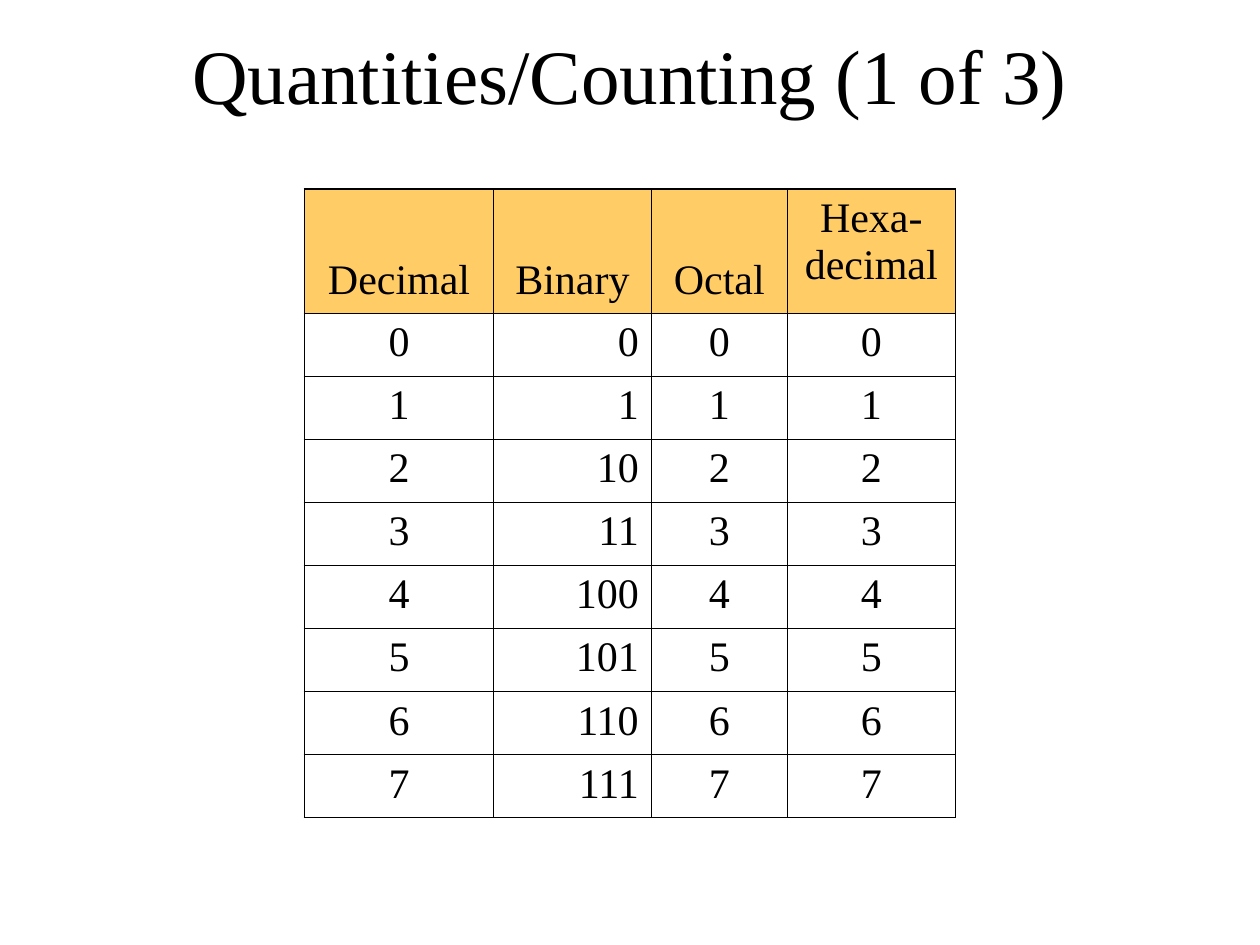
from dataclasses import dataclass

from pptx import Presentation
from pptx.dml.color import RGBColor
from pptx.enum.text import MSO_ANCHOR as Anchor, PP_ALIGN as Align
from pptx.oxml.ns import qn
from pptx.util import Cm, Pt
from lxml.etree import SubElement

TITLE = "Quantities/Counting (1 of 3)"
COLUMNS = [
    ("Decimal", 3.81, Align.CENTER),
    ("Binary", 3.18, Align.RIGHT),
    ("Octal", 2.74, Align.CENTER),
    ("Hexa-\vdecimal", 3.39, Align.CENTER),
]
COUNTS = [
    ("0", "0", "0", "0"),
    ("1", "1", "1", "1"),
    ("2", "10", "2", "2"),
    ("3", "11", "3", "3"),
    ("4", "100", "4", "4"),
    ("5", "101", "5", "5"),
    ("6", "110", "6", "6"),
    ("7", "111", "7", "7"),
]
HEADER_HEIGHT, ROW_HEIGHT = 2.5, 1.27


@dataclass(frozen=True)
class Theme:
    font: str = "Times New Roman"
    ink: str = "000000"
    header: str = "FFCC66"
    title_size: float = 44
    cell_size: float = 24
    inner_line: float = 0.45
    outer_line: float = 1.08


theme = Theme()


def style_text(text_frame, size, align):
    for paragraph in text_frame.paragraphs:
        paragraph.alignment = align
        paragraph.font.size = Pt(size)
        for run in paragraph.runs:
            run.font.name = theme.font
            run.font.size = Pt(size)
            run.font.color.rgb = RGBColor.from_string(theme.ink)


def set_borders(cell, outer_sides):
    properties = cell._tc.get_or_add_tcPr()
    for side in "LRTB":
        width = theme.outer_line if side in outer_sides else theme.inner_line
        line = SubElement(properties, qn(f"a:ln{side}"), w=str(Pt(width)))
        fill = SubElement(line, qn("a:solidFill"))
        SubElement(fill, qn("a:srgbClr"), val=theme.ink)


def add_title(slide):
    box = slide.shapes.add_textbox(Cm(1.9), Cm(0.43), Cm(21.6), Cm(2.11))
    text_frame = box.text_frame
    text_frame.word_wrap = True
    text_frame.vertical_anchor = Anchor.MIDDLE
    text_frame.text = TITLE
    style_text(text_frame, theme.title_size, Align.CENTER)


def add_count_table(slide):
    rows = [[name for name, _, _ in COLUMNS], *COUNTS]
    heights = [HEADER_HEIGHT] + [ROW_HEIGHT] * len(COUNTS)
    width = sum(column_width for _, column_width, _ in COLUMNS)
    table = slide.shapes.add_table(
        len(rows), len(COLUMNS), Cm(6.14), Cm(3.81), Cm(width), Cm(sum(heights))
    ).table
    table.first_row = table.horz_banding = False
    for column, (_, column_width, _) in zip(table.columns, COLUMNS):
        column.width = Cm(column_width)
    for row, height in zip(table.rows, heights):
        row.height = Cm(height)

    last_row, last_column = len(rows) - 1, len(COLUMNS) - 1
    for row_index, values in enumerate(rows):
        for column_index, value in enumerate(values):
            cell = table.cell(row_index, column_index)
            cell.text_frame.text = value
            edges = {"L": column_index == 0, "R": column_index == last_column,
                     "T": row_index == 0, "B": row_index == last_row}
            set_borders(cell, [side for side, outer in edges.items() if outer])
            if row_index == 0:
                cell.fill.solid()
                cell.fill.fore_color.rgb = RGBColor.from_string(theme.header)
                style_text(cell.text_frame, theme.cell_size, Align.CENTER)
                if "\v" not in value:
                    cell.vertical_anchor = Anchor.BOTTOM
                    cell.margin_bottom = Cm(0.2)
            else:
                cell.fill.background()
                style_text(cell.text_frame, theme.cell_size, COLUMNS[column_index][2])


def main():
    presentation = Presentation()
    presentation.slide_width, presentation.slide_height = Cm(25.4), Cm(19.05)
    slide = presentation.slides.add_slide(presentation.slide_layouts[6])
    add_title(slide)
    add_count_table(slide)
    presentation.save("out.pptx")


if __name__ == "__main__":
    main()
